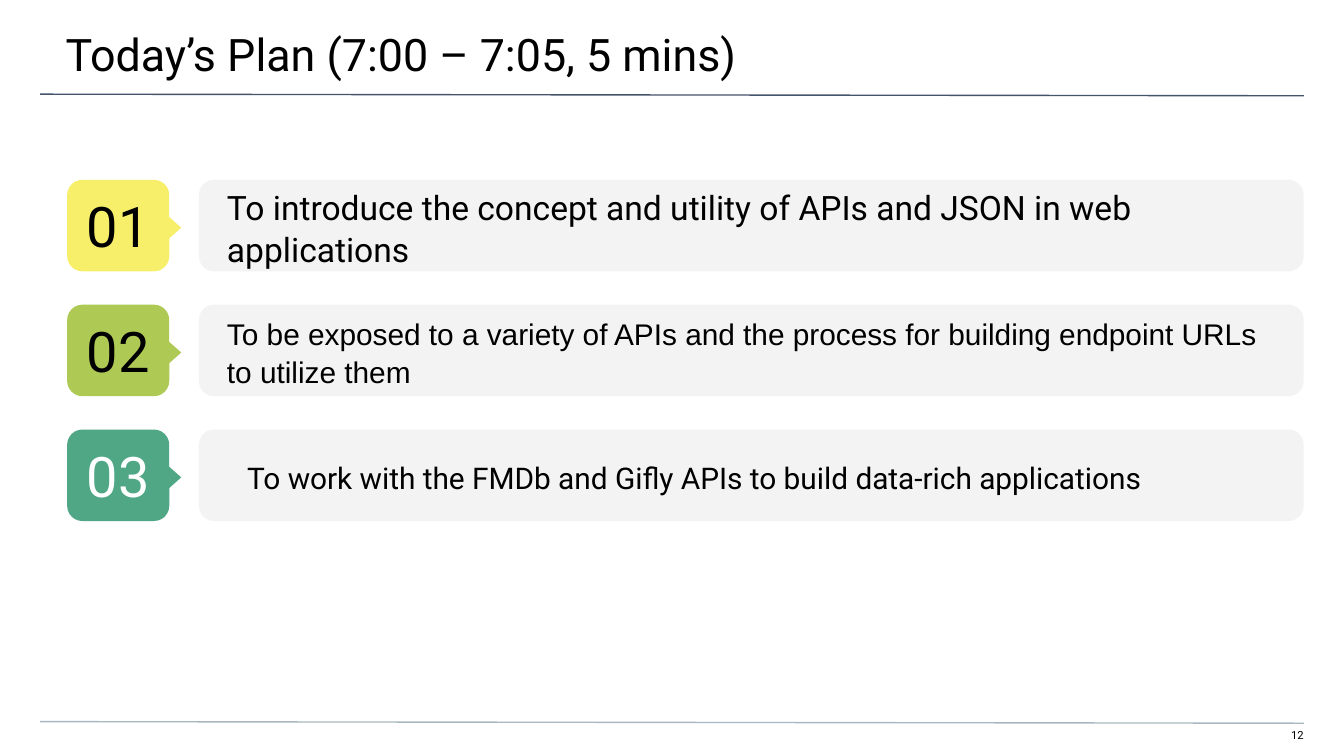
"""Build the "Today's Plan" agenda slide with three numbered goals."""
from lxml import etree
from pptx import Presentation
from pptx.dml.color import RGBColor
from pptx.enum.shapes import MSO_CONNECTOR, MSO_SHAPE
from pptx.enum.text import MSO_ANCHOR, MSO_AUTO_SIZE, PP_ALIGN
from pptx.oxml.ns import qn
from pptx.util import Cm, Pt

ROUNDED, EXTRACT = MSO_SHAPE.ROUNDED_RECTANGLE, MSO_SHAPE.FLOWCHART_EXTRACT
STRAIGHT = MSO_CONNECTOR.STRAIGHT
TOP, MIDDLE = MSO_ANCHOR.TOP, MSO_ANCHOR.MIDDLE
LEFT, CENTER, RIGHT = PP_ALIGN.LEFT, PP_ALIGN.CENTER, PP_ALIGN.RIGHT
NO_FIT = MSO_AUTO_SIZE.NONE
COMPARISON_LAYOUT = 4


def add_block(kind, left, top, width, height, color):
    sp = s.shapes.add_shape(kind, Cm(left), Cm(top), Cm(width), Cm(height))
    sp.shadow.inherit = False
    sp.fill.solid()
    sp.fill.fore_color.rgb = RGBColor.from_string(color)
    sp.line.fill.background()
    return sp


def set_text(sp, text, size, font="Roboto", color="000000", align=LEFT,
             anchor=MIDDLE, insets=(0.25, 0.25, 0.25, 0.25)):
    tf = sp.text_frame
    tf.word_wrap = True
    tf.auto_size = NO_FIT
    tf.vertical_anchor = anchor
    tf.margin_left, tf.margin_top, tf.margin_right, tf.margin_bottom = map(Cm, insets)
    p = tf.paragraphs[0]
    p.alignment = align
    p.space_before = Pt(0)
    r = p.add_run()
    r.text = text
    r.font.name = font
    r.font.size = Pt(size)
    r.font.bold = False
    r.font.color.rgb = RGBColor.from_string(color)
    return p


prs = Presentation()
prs.slide_width, prs.slide_height = Cm(25.4), Cm(14.29)
s = prs.slides.add_slide(prs.slide_layouts[COMPARISON_LAYOUT])
title, *bodies = s.placeholders
for extra in bodies[3:]:
    extra.element.getparent().remove(extra.element)

title.left, title.top, title.width, title.height = Cm(-0.03), Cm(0), Cm(25.48), Cm(1.47)
set_text(title, "Today’s Plan (7:00 – 7:05, 5 mins)", 24, anchor=TOP,
         insets=(1.27, 0.51, 0.76, 0.25))

for y, color in [(1.78, "44546A"), (13.64, "A9B7C0")]:
    rule = s.shapes.add_connector(STRAIGHT, Cm(0.76), Cm(y), Cm(24.64), Cm(y + 0.03))
    rule.line.color.rgb = RGBColor.from_string(color)
    rule.line.width = Pt(0.75)
    etree.SubElement(rule.element.spPr, qn("a:effectLst"))

goals = [
    ("To introduce the concept and utility of APIs and JSON in web applications",
     18, "Roboto", 0, "F7EF6A", "000000"),
    ("To be exposed to a variety of APIs and the process for building endpoint URLs "
     "to utilize them", 16, "Arial", 0, "AFCA54", "000000"),
    ("To work with the FMDb and Gifly APIs to build data-rich applications",
     16, "Roboto", 0.38, "4FA786", "FFFFFF"),
]
for i, (goal, size, font, indent, fill, number_color) in enumerate(goals):
    top = 3.4 + i * 2.36
    add_block(ROUNDED, 3.76, top, 20.88, 1.73, "F3F3F3")
    badge = add_block(ROUNDED, 1.27, top, 1.93, 1.73, fill)
    set_text(badge, f"{i + 1:02d}", 30, color=number_color, align=CENTER)
    pointer = add_block(EXTRACT, 2.69, top + 0.64, 0.94, 0.53, fill)
    pointer.rotation = 90

    body = bodies[i]
    body.left, body.top, body.width, body.height = Cm(-0.03), Cm(top + 0.05), Cm(25.48), Cm(1.68)
    p = set_text(body, goal, size, font, insets=(4.32, 0, 1.27, 0))
    p.line_spacing = 1.05
    pPr = p._p.get_or_add_pPr()
    pPr.set("marL", str(Cm(indent)))
    pPr.set("indent", "0")
    etree.SubElement(pPr, qn("a:buNone"))
    body.element.getparent().append(body.element)

number = s.shapes.add_textbox(Cm(23.9), Cm(13.77), Cm(0.74), Cm(0.3))
set_text(number, "12", 6, align=RIGHT, anchor=TOP, insets=(0, 0, 0, 0.25))

prs.save("out.pptx")
